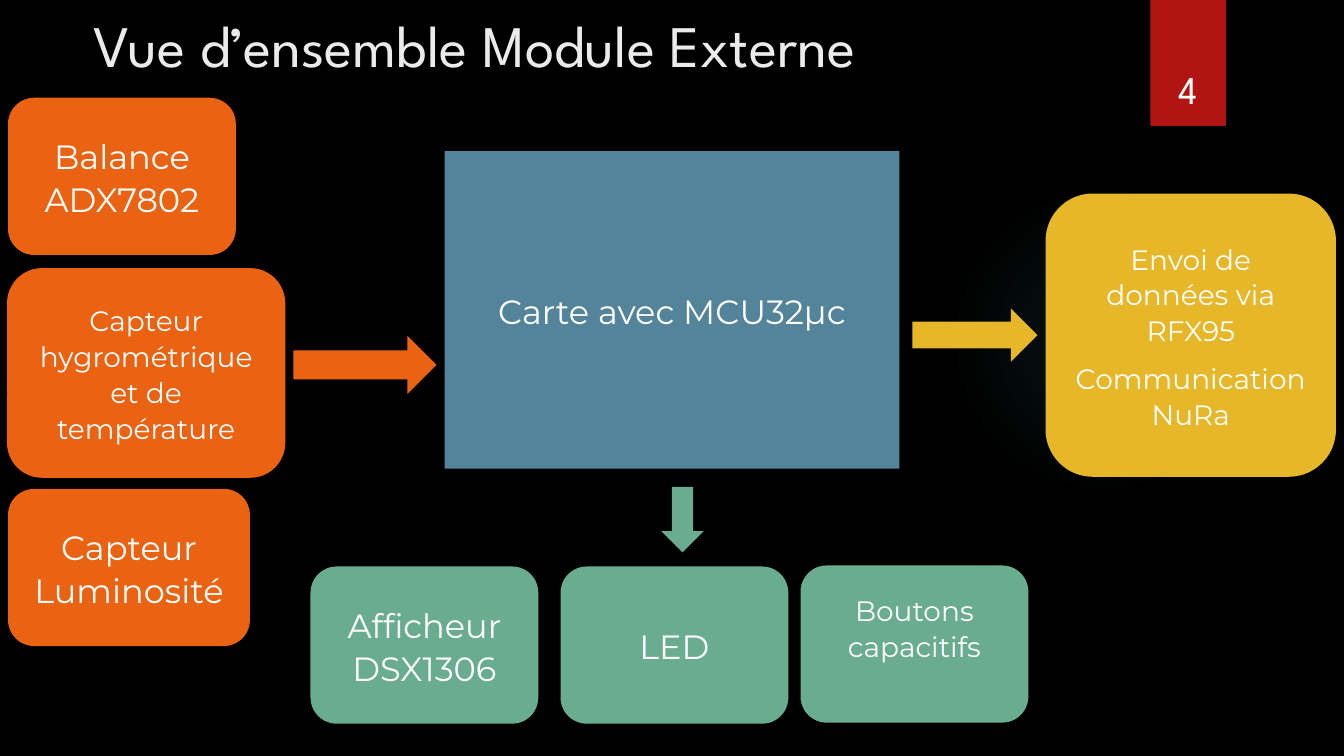
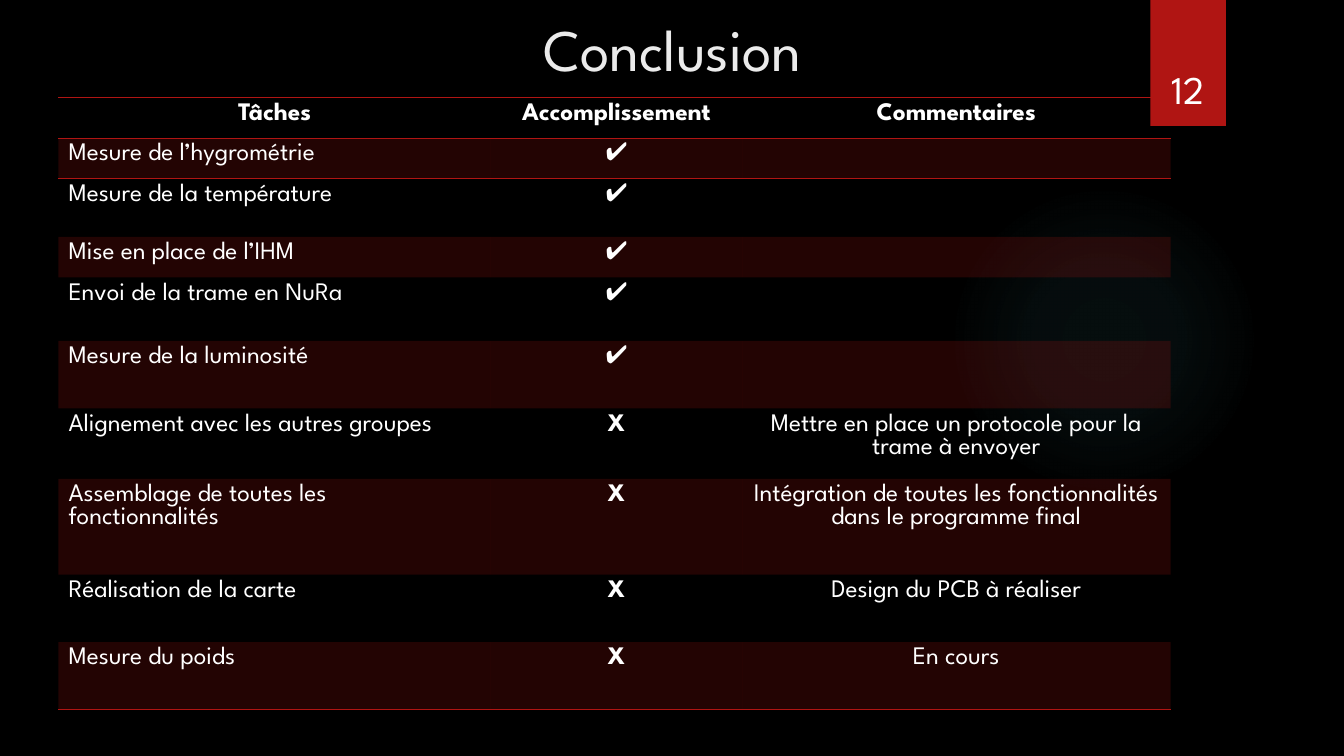
from dataclasses import dataclass

from pptx import Presentation
from pptx.dml.color import RGBColor
from pptx.enum.shapes import MSO_SHAPE
from pptx.enum.text import MSO_ANCHOR, PP_ALIGN
from pptx.oxml import parse_xml
from pptx.oxml.ns import nsdecls, qn
from pptx.util import Pt

PX = 9144  # 100 px to the inch


@dataclass(frozen=True)
class Theme:
    background: str = "000000"
    glow: str = "50B9C1"
    red: str = "B01513"
    title: str = "EBEBEB"
    text: str = "FFFFFF"
    board: str = "54849A"
    sensor: str = "EA6312"
    radio: str = "E6B729"
    interface: str = "6AAC90"
    heading_font: str = "League Spartan"
    body_font: str = "Montserrat"
    title_size: int = 42
    number_size: int = 28
    large_size: int = 24
    medium_size: int = 20
    table_size: int = 18


theme = Theme()


def write_text(text_frame, lines, size, font=theme.heading_font, color=theme.text,
               bold=False, align=PP_ALIGN.CENTER):
    text_frame.word_wrap = True
    text_frame.text = "\n".join(lines)
    for paragraph in text_frame.paragraphs:
        paragraph.alignment = align
        for run in paragraph.runs:
            run.font.name = font
            run.font.size = Pt(size)
            run.font.bold = bold
            run.font.color.rgb = RGBColor.from_string(color)


def add_block(slide, kind, box, color):
    shape = slide.shapes.add_shape(kind, *[length * PX for length in box])
    shape.shadow.inherit = False
    shape.fill.solid()
    shape.fill.fore_color.rgb = RGBColor.from_string(color)
    shape.line.fill.background()
    return shape


presentation = Presentation()
presentation.slide_width = 1333 * PX
presentation.slide_height = 750 * PX

# Shared frame: background, glow, ribbon, title and slide number
slides = []
for title, title_box, align, number in [
    ("Vue d’ensemble Module Externe", (83, 4, 1028, 153), PP_ALIGN.LEFT, "4"),
    ("Conclusion", (259, 8, 816, 84), PP_ALIGN.CENTER, "12"),
]:
    slide = presentation.slides.add_slide(presentation.slide_layouts[6])
    slides.append(slide)
    slide.background.fill.solid()
    slide.background.fill.fore_color.rgb = RGBColor.from_string(theme.background)

    glow = add_block(slide, MSO_SHAPE.OVAL, (941, 183, 308, 308), theme.glow)
    stops = "".join(
        f'<a:gs pos="{position}000"><a:srgbClr val="{theme.glow}">'
        f'<a:alpha val="{alpha}000"/></a:srgbClr></a:gs>'
        for position, alpha in [(0, 7), (36, 6), (69, 0), (100, 0)]
    )
    gradient = parse_xml(
        f'<a:gradFill {nsdecls("a")}><a:gsLst>{stops}</a:gsLst><a:path path="circle">'
        '<a:fillToRect l="50000" t="50000" r="50000" b="50000"/></a:path></a:gradFill>'
    )
    properties = glow._element.spPr
    properties.replace(properties.find(qn("a:solidFill")), gradient)

    add_block(slide, MSO_SHAPE.RECTANGLE, (1141, 0, 75, 125), theme.red)

    title_shape = slide.shapes.add_textbox(*[length * PX for length in title_box])
    write_text(title_shape.text_frame, [title], theme.title_size,
               color=theme.title, align=align)

    number_shape = slide.shapes.add_textbox(1132 * PX, 32 * PX, 92 * PX, 84 * PX)
    number_shape.text_frame.vertical_anchor = MSO_ANCHOR.BOTTOM
    write_text(number_shape.text_frame, [number], theme.number_size)

overview, conclusion = slides

# Overview: arrows between the board and its modules
for kind, box, color in [
    (MSO_SHAPE.DOWN_ARROW, (656, 483, 42, 65), theme.interface),
    (MSO_SHAPE.RIGHT_ARROW, (905, 306, 124, 53), theme.radio),
    (MSO_SHAPE.RIGHT_ARROW, (291, 333, 142, 58), theme.sensor),
]:
    add_block(overview, kind, box, color)

# Overview: board and modules
ROUNDED = MSO_SHAPE.ROUNDED_RECTANGLE
LARGE, MEDIUM = theme.large_size, theme.medium_size
for kind, box, color, size, lines in [
    (MSO_SHAPE.RECTANGLE, (441, 150, 451, 315), theme.board, LARGE,
     ["Carte avec MCU32µc"]),
    (ROUNDED, (8, 97, 226, 156), theme.sensor, LARGE, ["Balance ADX7802"]),
    (ROUNDED, (7, 266, 276, 208), theme.sensor, MEDIUM,
     ["Capteur hygrométrique et de température"]),
    (ROUNDED, (8, 485, 240, 156), theme.sensor, LARGE, ["Capteur Luminosité"]),
    (ROUNDED, (1037, 192, 288, 281), theme.radio, MEDIUM,
     ["Envoi de données via RFX95", "Communication NuRa"]),
    (ROUNDED, (308, 562, 226, 156), theme.interface, LARGE, ["Afficheur DSX1306"]),
    (ROUNDED, (556, 562, 226, 156), theme.interface, LARGE, ["LED"]),
    (ROUNDED, (794, 561, 226, 156), theme.interface, MEDIUM, ["Boutons capacitifs"]),
]:
    module = add_block(overview, kind, box, color)
    text_frame = module.text_frame
    text_frame.vertical_anchor = MSO_ANCHOR.MIDDLE
    write_text(text_frame, lines, size, font=theme.body_font)
    for paragraph in text_frame.paragraphs:
        paragraph.line_spacing = 1.07
        paragraph.space_after = Pt(8)
# The label of the last module sits above the middle
text_frame.margin_bottom = 38 * PX

# Conclusion: task table
DONE, OPEN = "✔", "X"
rows = [
    (38, "Tâches", "Accomplissement", "Commentaires"),
    (38, "Mesure de l’hygrométrie", DONE, ""),
    (58, "Mesure de la température", DONE, ""),
    (38, "Mise en place de l’IHM", DONE, ""),
    (63, "Envoi de la trame en NuRa", DONE, ""),
    (67, "Mesure de la luminosité", DONE, ""),
    (68, "Alignement avec les autres groupes", OPEN,
     "Mettre en place un protocole pour la trame à envoyer"),
    (95, "Assemblage de toutes les fonctionnalités", OPEN,
     "Intégration de toutes les fonctionnalités dans le programme final"),
    (67, "Réalisation de la carte", OPEN, "Design du PCB à réaliser"),
    (67, "Mesure du poids", OPEN, "En cours"),
]
column_widths = [429, 249, 425]
table = conclusion.shapes.add_table(
    len(rows), len(column_widths), 58 * PX, 97 * PX,
    sum(column_widths) * PX, sum(row[0] for row in rows) * PX,
).table
table.first_row = table.horz_banding = False
# Plain table style without grid
table._tbl.tblPr.find(qn("a:tableStyleId")).text = "{2D5ABB26-0587-4C30-8999-92F81FD0307C}"

for column, width in zip(table.columns, column_widths):
    column.width = width * PX

for row_index, (height, *texts) in enumerate(rows):
    table.rows[row_index].height = height * PX
    for column_index, text in enumerate(texts):
        cell = table.cell(row_index, column_index)
        is_header = row_index == 0
        is_task = column_index == 0 and not is_header
        write_text(cell.text_frame, [text], theme.table_size,
                   bold=is_header or text == OPEN,
                   align=PP_ALIGN.LEFT if is_task else PP_ALIGN.CENTER)
        if not text:
            cell.margin_top = cell.margin_bottom = 0

        # Translucent bands on every second row
        if row_index % 2:
            cell.fill.solid()
            cell.fill.fore_color.rgb = RGBColor.from_string(theme.red)
            band_color = cell._tc.tcPr.find(".//" + qn("a:srgbClr"))
            band_color.append(parse_xml(f'<a:alpha {nsdecls("a")} val="20000"/>'))
        else:
            cell.fill.background()

        # Rules around the header and under the last row
        edges = {0: ["lnT", "lnB"], 1: ["lnT"], len(rows) - 1: ["lnB"]}
        for position, edge in enumerate(edges.get(row_index, [])):
            cell._tc.tcPr.insert(position, parse_xml(
                f'<a:{edge} {nsdecls("a")} w="12700"><a:solidFill>'
                f'<a:srgbClr val="{theme.red}"/></a:solidFill></a:{edge}>'
            ))

presentation.save("out.pptx")
